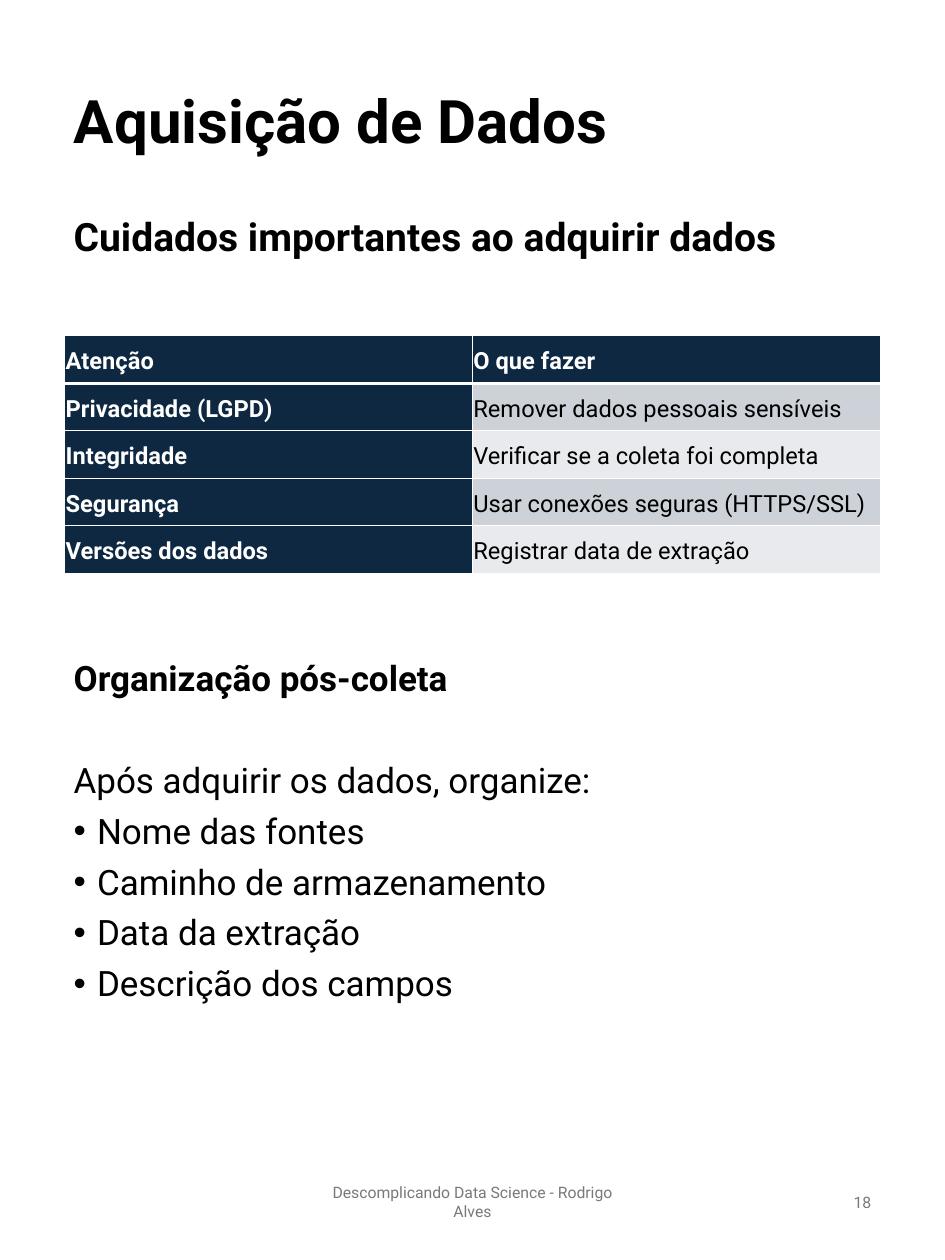
from lxml.etree import SubElement
from pptx import Presentation
from pptx.dml.color import RGBColor
from pptx.enum.text import MSO_ANCHOR, MSO_AUTO_SIZE, PP_ALIGN
from pptx.oxml.ns import qn
from pptx.util import Inches, Pt

FONT = "Roboto"
COLORS = {
    "text": "000000",
    "white": "FFFFFF",
    "navy": "0E2841",
    "band_dark": "CCD2D8",
    "band_light": "E8EAED",
    "footer": "797979",
}
LEFT, WIDTH = 0.72, 9.06
ROW_HEIGHT = 0.528
BULLET_INDENT = 0.26

CARE_ROWS = [
    ("Atenção", "O que fazer"),
    ("Privacidade (LGPD)", "Remover dados pessoais sensíveis"),
    ("Integridade", "Verificar se a coleta foi completa"),
    ("Segurança", "Usar conexões seguras (HTTPS/SSL)"),
    ("Versões dos dados", "Registrar data de extração"),
]
ORGANIZE_ITEMS = [
    "Nome das fontes",
    "Caminho de armazenamento",
    "Data da extração",
    "Descrição dos campos",
]


def color(name):
    return RGBColor.from_string(COLORS[name])


def add_run(paragraph, text, size, color_name="text", bold=False):
    run = paragraph.add_run()
    run.text = text
    run.font.name = FONT
    run.font.size = Pt(size)
    run.font.bold = bold
    run.font.color.rgb = color(color_name)


def add_box(slide, left, top, width, height, anchor=MSO_ANCHOR.MIDDLE):
    box = slide.shapes.add_textbox(Inches(left), Inches(top), Inches(width), Inches(height))
    frame = box.text_frame
    frame.word_wrap = True
    frame.vertical_anchor = anchor
    return frame


def add_line(slide, text, left, top, width, height, size,
             color_name="text", bold=False, align=PP_ALIGN.LEFT):
    paragraph = add_box(slide, left, top, width, height).paragraphs[0]
    paragraph.alignment = align
    add_run(paragraph, text, size, color_name, bold)


def add_title(slide, text):
    title = slide.shapes.title
    title.left, title.top = Inches(LEFT), Inches(0.75)
    title.width, title.height = Inches(WIDTH), Inches(1.25)
    frame = title.text_frame
    frame.auto_size = MSO_AUTO_SIZE.NONE
    frame.vertical_anchor = MSO_ANCHOR.MIDDLE
    paragraph = frame.paragraphs[0]
    paragraph.alignment = PP_ALIGN.LEFT
    paragraph.line_spacing = 0.9
    add_run(paragraph, text, 48, bold=True)


def set_borders(cell, widths):
    properties = cell._tc.get_or_add_tcPr()
    for side, width in widths.items():
        line = SubElement(properties, qn(f"a:ln{side}"), w=str(Pt(width)))
        fill = SubElement(line, qn("a:solidFill"))
        SubElement(fill, qn("a:srgbClr"), val=COLORS["white"])


def format_cell(cell, text, row, column):
    is_header = row == 0 or column == 0
    # Borders come before the fill in the cell properties
    set_borders(cell, {"L": 1, "R": 1, "T": 3 if row == 1 else 1, "B": 3 if row == 0 else 1})
    band = "band_dark" if row % 2 else "band_light"
    cell.fill.solid()
    cell.fill.fore_color.rgb = color("navy" if is_header else band)
    cell.margin_left = cell.margin_right = Inches(0.01)
    cell.margin_top = cell.margin_bottom = Inches(0.01)
    cell.vertical_anchor = MSO_ANCHOR.MIDDLE
    paragraph = cell.text_frame.paragraphs[0]
    paragraph.line_spacing = 1.15
    paragraph.space_after = Pt(8)
    add_run(paragraph, text, 18.9, "white" if is_header else "text", is_header)


def add_care_table(slide):
    rows, columns = len(CARE_ROWS), len(CARE_ROWS[0])
    table = slide.shapes.add_table(rows, columns, Inches(LEFT), Inches(3.73),
                                   Inches(WIDTH), Inches(ROW_HEIGHT * rows)).table
    for row, texts in enumerate(CARE_ROWS):
        for column, text in enumerate(texts):
            format_cell(table.cell(row, column), text, row, column)


def set_bullet(paragraph):
    properties = paragraph._p.get_or_add_pPr()
    properties.set("marL", str(Inches(BULLET_INDENT)))
    properties.set("indent", str(-Inches(BULLET_INDENT)))
    SubElement(properties, qn("a:buFont"), typeface="Arial")
    SubElement(properties, qn("a:buChar"), char="•")


def add_organization(slide):
    frame = add_box(slide, LEFT, 7.3, WIDTH, 5.31, MSO_ANCHOR.TOP)
    heading = frame.paragraphs[0]
    heading.line_spacing = 0.9
    add_run(heading, "Organização pós-coleta", 28, bold=True)

    intro = frame.add_paragraph()
    intro.line_spacing = 0.9
    intro.space_before = Pt(51)
    add_run(intro, "Após adquirir os dados, organize:", 28)

    for text in ORGANIZE_ITEMS:
        item = frame.add_paragraph()
        item.line_spacing = 0.9
        item.space_before = Pt(10.5)
        set_bullet(item)
        add_run(item, text, 28)


def main():
    presentation = Presentation()
    presentation.slide_width, presentation.slide_height = Inches(10.5), Inches(14)
    slide = presentation.slides.add_slide(presentation.slide_layouts[5])

    # Headings
    add_title(slide, "Aquisição de Dados")
    add_line(slide, "Cuidados importantes ao adquirir dados",
             LEFT, 2, WIDTH, 1.25, 31.2, bold=True)

    # Content
    add_care_table(slide)
    add_organization(slide)

    # Footer and page number
    add_line(slide, "Descomplicando Data Science - Rodrigo Alves",
             3.48, 12.98, 3.54, 0.75, 12.6, "footer", align=PP_ALIGN.CENTER)
    add_line(slide, "18", 7.42, 12.98, 2.36, 0.75, 12.6, "footer", align=PP_ALIGN.RIGHT)

    presentation.save("out.pptx")


if __name__ == "__main__":
    main()
